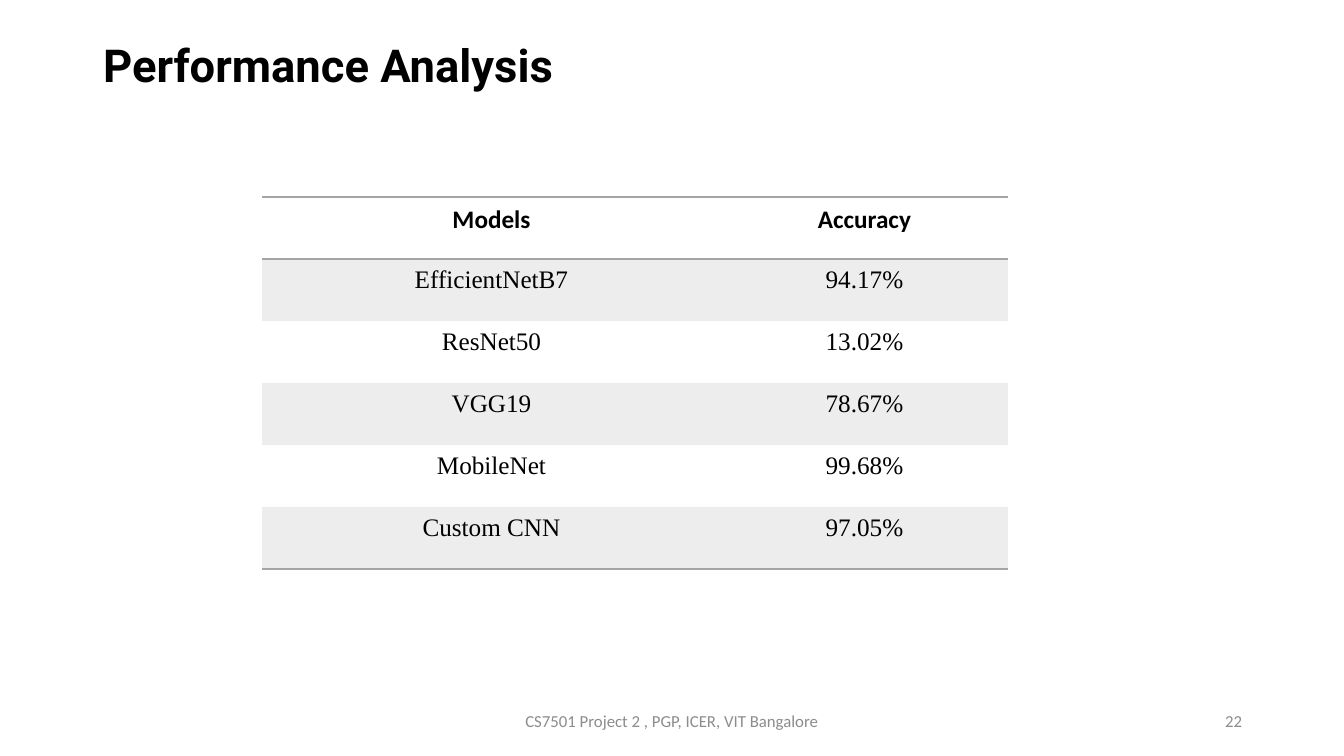
"""Build the performance analysis slide with its accuracy table."""
from lxml.etree import SubElement
from pptx import Presentation
from pptx.dml.color import RGBColor
from pptx.enum.text import MSO_ANCHOR, MSO_AUTO_SIZE, PP_ALIGN
from pptx.oxml.ns import qn
from pptx.util import Emu, Pt

BLACK = RGBColor(0x00, 0x00, 0x00)
FOOTER_GREY = RGBColor(0x8C, 0x8C, 0x8C)
RULE_GREY = RGBColor(0xA5, 0xA5, 0xA5)
BAND_GREY = RGBColor(0xED, 0xED, 0xED)
PLAIN_TABLE = "{2D5ABB26-0587-4C30-8999-92F81FD0307C}"
ROWS = [
    ("Models", "Accuracy"),
    ("EfficientNetB7", "94.17%"),
    ("ResNet50", "13.02%"),
    ("VGG19", "78.67%"),
    ("MobileNet", "99.68%"),
    ("Custom CNN", "97.05%"),
]


def px(n):
    return Emu(round(n * 12192000 / 1344))


def write(tf, text, size=12, font="Calibri", color=BLACK, bold=False,
          align=PP_ALIGN.LEFT, spacing=1.0, after=0):
    p = tf.paragraphs[0]
    p.alignment = align
    p.line_spacing = spacing
    p.space_before, p.space_after = Pt(0), Pt(after)
    r = p.add_run()
    r.text = text
    r.font.name, r.font.size, r.font.bold = font, Pt(size), bold
    r.font.color.rgb = color


def add_rule(cell, tag):
    ln = SubElement(cell._tc.get_or_add_tcPr(), qn(tag), w=str(Pt(1)))
    fill = SubElement(ln, qn("a:solidFill"))
    SubElement(fill, qn("a:srgbClr"), val=str(RULE_GREY))


class SlideBuilder:
    """Hold the slide and its style."""

    def __init__(self, prs):
        self.s = prs.slides.add_slide(prs.slide_layouts[5])

    def title(self, text, x, y, w, h):
        sp = self.s.shapes.title
        sp.left, sp.top, sp.width, sp.height = map(px, (x, y, w, h))
        tf = sp.text_frame
        tf.auto_size = MSO_AUTO_SIZE.NONE
        tf.vertical_anchor = MSO_ANCHOR.MIDDLE
        write(tf, text, size=32.4, font="Roboto", bold=True, spacing=0.9)

    def footer(self, text, x, w, align):
        sp = self.s.shapes.add_textbox(*map(px, (x, 701, w, 40)))
        tf = sp.text_frame
        tf.word_wrap = True
        tf.vertical_anchor = MSO_ANCHOR.MIDDLE
        write(tf, text, color=FOOTER_GREY, align=align)

    def table(self, rows, x, y, widths, row_h):
        frame = self.s.shapes.add_table(
            len(rows), len(widths), px(x), px(y),
            px(sum(widths)), px(row_h * len(rows)))
        tbl = frame.table
        tbl.first_row = tbl.horz_banding = False
        tbl._tbl.tblPr.find(qn("a:tableStyleId")).text = PLAIN_TABLE
        for col, w in zip(tbl.columns, widths):
            col.width = px(w)
        for i, row in enumerate(rows):
            tbl.rows[i].height = px(row_h)
            for j, text in enumerate(row):
                self.cell(tbl.cell(i, j), text, i, i == len(rows) - 1)

    def cell(self, cell, text, i, last):
        header = i == 0
        if header:
            add_rule(cell, "a:lnT")
        if header or last:
            add_rule(cell, "a:lnB")
        if i % 2:
            cell.fill.solid()
            cell.fill.fore_color.rgb = BAND_GREY
        else:
            cell.fill.background()
        write(cell.text_frame, text, size=18, bold=header,
              font="Calibri" if header else "Times New Roman",
              align=PP_ALIGN.CENTER, spacing=1.07, after=8)


def main():
    prs = Presentation()
    prs.slide_width, prs.slide_height = px(1344), px(756)
    b = SlideBuilder(prs)
    b.title("Performance Analysis", 93, 40, 1159, 55)
    b.table(ROWS, 262, 197, (459, 287), 62)
    b.footer("CS7501 Project 2 , PGP, ICER, VIT Bangalore", 445, 454, PP_ALIGN.CENTER)
    b.footer("22", 949, 303, PP_ALIGN.RIGHT)
    prs.save("out.pptx")


if __name__ == "__main__":
    main()
